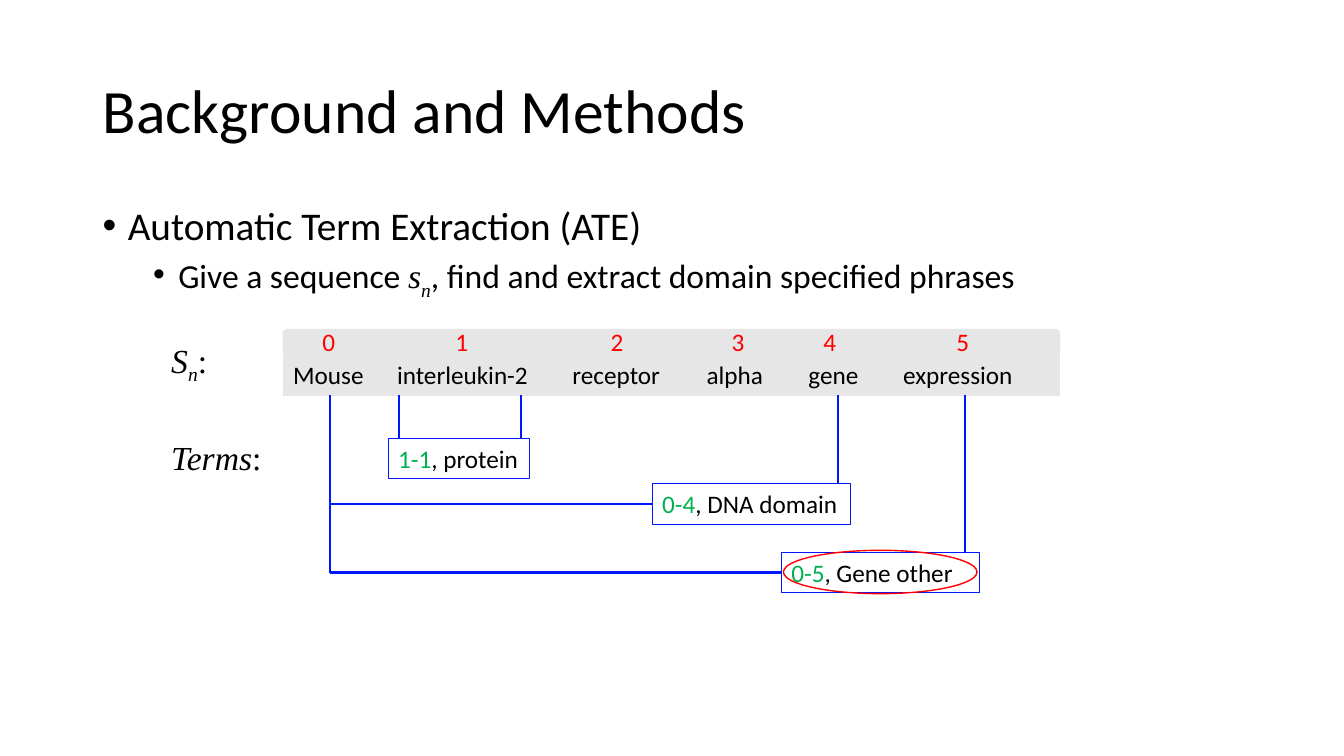
import pptx
import pptx.dml.color
import pptx.enum.shapes
import pptx.enum.text
import pptx.oxml
import pptx.oxml.ns
import pptx.util

PX = 9144  # 100 px to the inch
INSET = 10
COLOURS = {"text": "000000", "bar": "E7E6E6", "index": "FF0000",
           "link": "0018FF", "span": "00B050"}
SANS, SERIF = "Calibri", "Times New Roman"
SHAPES = pptx.enum.shapes.MSO_SHAPE
ALIGN = pptx.enum.text.PP_ALIGN
ANCHOR = pptx.enum.text.MSO_ANCHOR
AUTO_SIZE = pptx.enum.text.MSO_AUTO_SIZE


def px(*lengths):
    return [pptx.util.Emu(length * PX) for length in lengths]


def colour(name):
    return pptx.dml.color.RGBColor.from_string(COLOURS[name])


def add_child(parent, tag, **attributes):
    child = pptx.oxml.parse_xml(f"<a:{tag} {pptx.oxml.ns.nsdecls('a')}/>")
    for key, value in attributes.items():
        child.set(key, str(value))
    parent.append(child)
    return child


def add_span(para, text, size, ink="text", font=SANS, italic=False, subscript=False):
    span = para.add_run()
    span.text = text
    span.font.size = pptx.util.Pt(size)
    span.font.name = font
    span.font.italic = italic
    span.font.color.rgb = colour(ink)
    if subscript:
        span.font._element.set("baseline", "-25000")


def add_symbol(para, letter, size=24):
    """Add an italic letter with the subscript n."""
    add_span(para, letter, size, font=SERIF, italic=True)
    add_span(para, "n", size, font=SERIF, italic=True, subscript=True)


def add_outline(page, kind, box, line, width, fill=None):
    shape = page.shapes.add_shape(kind, *px(*box))
    shape.shadow.inherit = False
    if fill:
        shape.fill.solid()
        shape.fill.fore_color.rgb = colour(fill)
    else:
        shape.fill.background()
    shape.line.color.rgb = colour(line)
    shape.line.width = pptx.util.Pt(width)
    return shape


def add_link(page, start, end, source=None):
    """Draw a straight link, joined to the left side of source if given."""
    link = page.shapes.add_connector(
        pptx.enum.shapes.MSO_CONNECTOR.STRAIGHT, *px(*start, *end))
    if source is not None:
        link.begin_connect(source, 1)
    link.line.color.rgb = colour("link")
    link.line.width = pptx.util.Pt(1.5)
    add_child(link._element.spPr, "effectLst")


def place_title(page, box):
    title = page.shapes.title
    title.left, title.top, title.width, title.height = px(*box)
    title.text_frame.vertical_anchor = ANCHOR.MIDDLE
    para = title.text_frame.paragraphs[0]
    para.alignment = ALIGN.LEFT
    para.line_spacing = 0.9
    add_span(para, "Background and Methods", 44)


def add_bullet(para, indent):
    properties = para._p.get_or_add_pPr()
    for key, value in (("marL", indent), ("indent", -25)):
        properties.set(key, str(value * PX))
    add_child(properties, "buFont", typeface="Arial")
    add_child(properties, "buChar", char="•")
    para.line_spacing = 0.9


def place_outline(page, box):
    frame = page.shapes.add_textbox(*px(*box)).text_frame
    frame.word_wrap = True
    topic = frame.paragraphs[0]
    add_bullet(topic, 25)
    add_span(topic, "Automatic Term Extraction (ATE)", 28)
    task = frame.add_paragraph()
    task.level = 1
    add_bullet(task, 75)
    task.space_before = pptx.util.Pt(5)
    add_span(task, "Give a sequence ", 24)
    add_symbol(task, "s")
    add_span(task, ", find and extract domain specified phrases", 24)


def place_label(page, box):
    """Add an unwrapped row label and return its paragraph."""
    frame = page.shapes.add_textbox(*px(*box)).text_frame
    frame.word_wrap = False
    frame.auto_size = AUTO_SIZE.SHAPE_TO_FIT_TEXT
    return frame.paragraphs[0]


def place_bar(page, box, texts, stops, ink, align, corner):
    """Add a grey bar with each text at a tab stop, measured from its left."""
    bar = add_outline(page, SHAPES.ROUNDED_RECTANGLE, box, "bar", 1, "bar")
    bar.adjustments[0] = corner
    frame = bar.text_frame
    frame.vertical_anchor = ANCHOR.MIDDLE
    para = frame.paragraphs[0]
    tabs = add_child(para._p.get_or_add_pPr(), "tabLst")
    for stop in stops:
        add_child(tabs, "tab", pos=(stop - INSET) * PX, algn=align)
    para.alignment = ALIGN.LEFT
    lead = "\t" if len(stops) == len(texts) else ""
    add_span(para, lead + "\t".join(texts), 18, ink)


def place_sequence(page, box):
    left, top, width, height = box
    index_height = 24
    place_bar(page, (left, top + index_height, width, height - index_height),
              ["Mouse", "interleukin-2", "receptor", "alpha", "gene", "expression"],
              [113, 287, 420, 521, 615], "text", "l", 0)
    place_bar(page, (left, top, width, index_height), "012345",
              [44, 176, 330, 450, 541, 673], "index", "ctr", 0.17)


def place_term(page, box, word_range, kind):
    term = add_outline(page, SHAPES.RECTANGLE, box, "link", 0.75)
    frame = term.text_frame
    frame.word_wrap = True
    frame.auto_size = AUTO_SIZE.SHAPE_TO_FIT_TEXT
    frame.vertical_anchor = ANCHOR.TOP
    para = frame.paragraphs[0]
    para.alignment = ALIGN.LEFT
    add_span(para, word_range, 18, "span")
    add_span(para, f", {kind}", 18)
    return term


def place_terms(page, box):
    """Add the term boxes and their links down from the words above."""
    left, top, _, height = box
    term_height = 40
    first_word = left + 46
    protein, domain, other = 43, 88, height - term_height
    for x, drop in ((46, other + term_height // 2), (550, domain), (676, other),
                    (115, protein), (236, protein)):
        add_link(page, (left + x, top), (left + x, top + drop))
    for x, drop, width, word_range, kind, joined in (
            (104, protein, 140, "1-1", "protein", False),
            (366, domain, 197, "0-4", "DNA domain", True),
            (494, other, 197, "0-5", "Gene other", True)):
        term_box = (left + x, top + drop, width, term_height)
        term = place_term(page, term_box, word_range, kind)
        if joined:
            middle = top + drop + term_height // 2
            add_link(page, (left + x, middle), (first_word, middle), term)
    add_outline(page, SHAPES.OVAL, (left + 496, top + other - 2, 192, 43), "index", 1)


def main():
    deck = pptx.Presentation()
    deck.slide_width, deck.slide_height = px(1333, 750)
    page = deck.slides.add_slide(deck.slide_layouts[5])
    place_title(page, (92, 40, 1150, 145))
    place_outline(page, (92, 200, 1150, 476))
    sequence_label = place_label(page, (160, 332, 59, 50))
    add_symbol(sequence_label, "S")
    add_span(sequence_label, ":", 24, font=SERIF)
    terms_label = place_label(page, (160, 429, 111, 50))
    add_span(terms_label, "Terms", 24, font=SERIF, italic=True)
    add_span(terms_label, ":", 24, font=SERIF)
    place_sequence(page, (281, 327, 770, 65))
    place_terms(page, (281, 392, 770, 196))
    deck.save("out.pptx")


if __name__ == "__main__":
    main()
